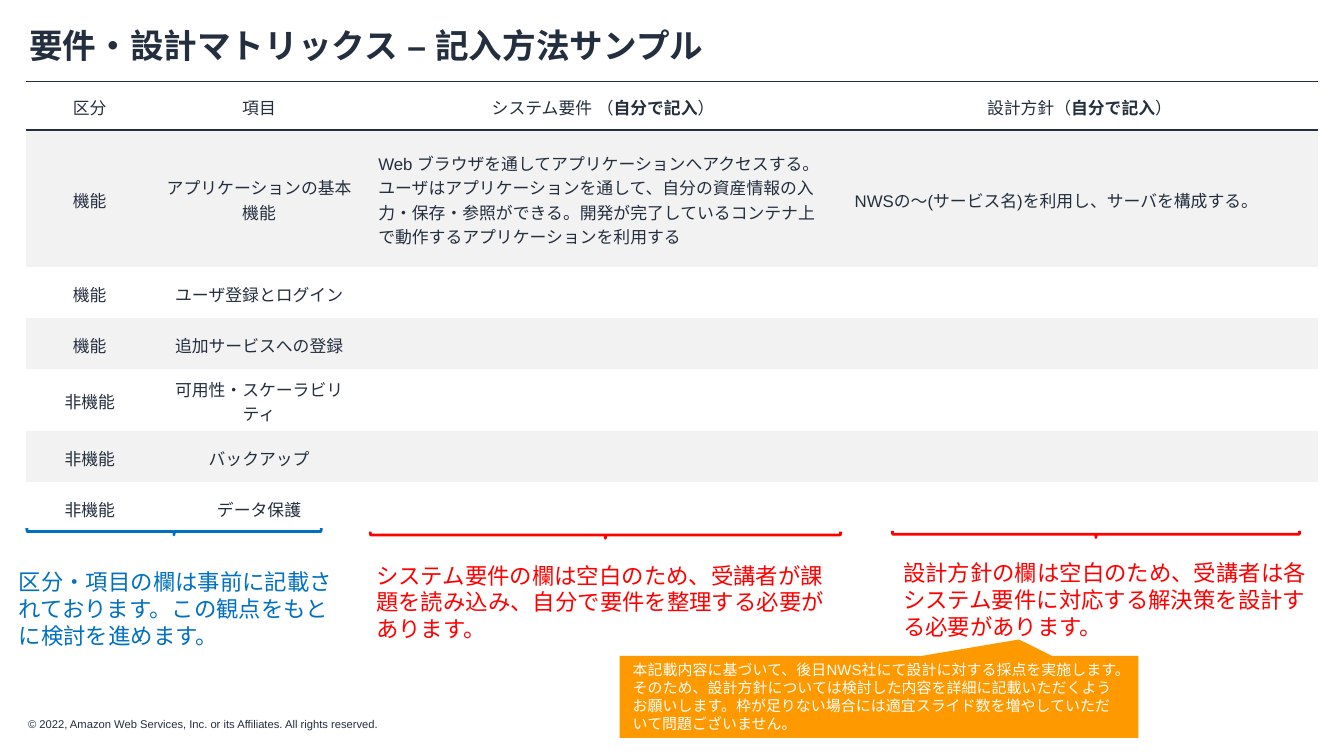
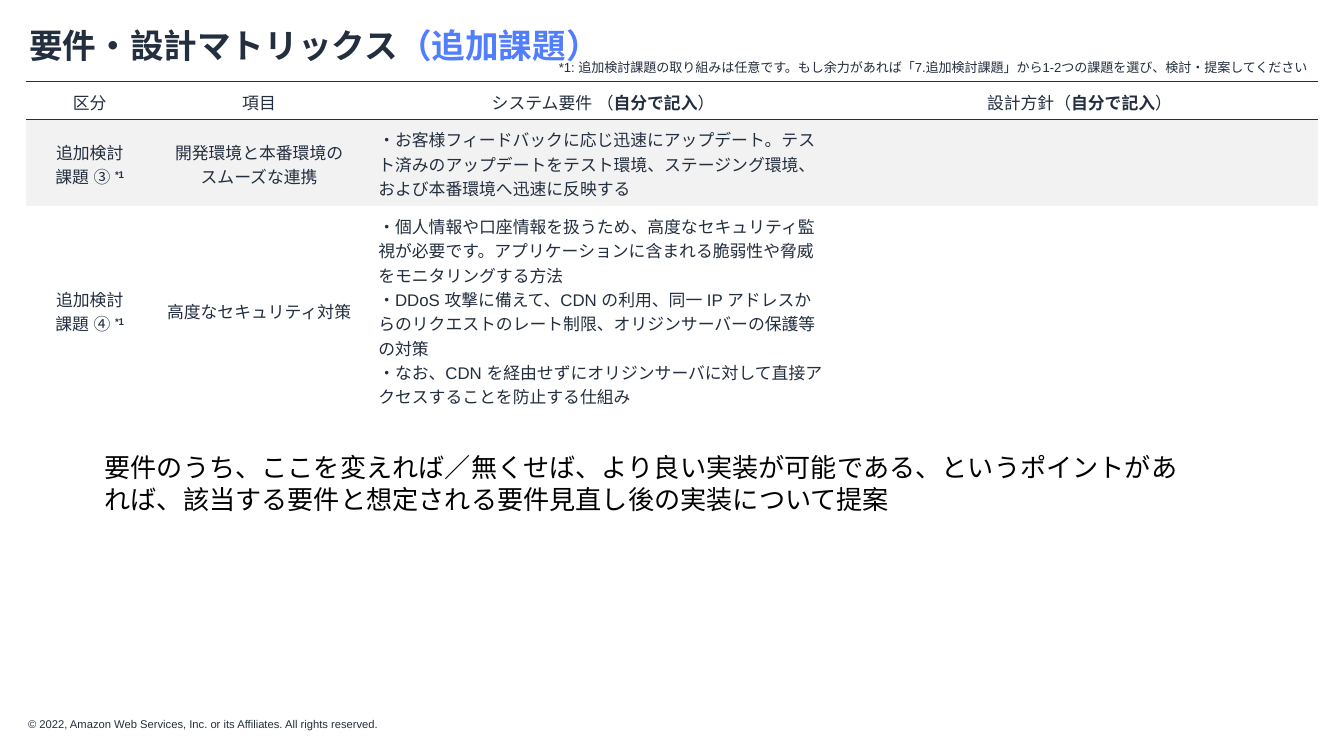
import dataclasses

import lxml.etree
import pptx
import pptx.dml.color
import pptx.enum.shapes
import pptx.enum.text
import pptx.oxml.ns
import pptx.util

INK, GREY, WHITE, BLACK = "232E3E", "F2F2F2", "FFFFFF", "000000"
BLUE, RED, ORANGE, ACCENT = "0070C0", "FF0000", "FE9900", "517EFF"
FONT = "Arial"
UNIT = 0.1
NO_GRID_STYLE = "{2D5ABB26-0587-4C30-8999-92F81FD0307C}"
TABLE_LEFT, TABLE_TOP = 1.95, 6.07
TABLE_COLUMNS = [9.45, 15.75, 35.45, 35.45]
SELF = ("自分で記入", {"bold": True})
HEADER = ["区分", "項目", [["システム要件 （", SELF, "）"]], [["設計方針（", SELF, "）"]]]
FOOTNOTE_MARK = ("*1", {"bold": True, "raised": True})


@dataclasses.dataclass
class Box:
    """A rectangle counted in columns and rows of the slide grid."""

    left: float
    top: float
    width: float
    height: float

    def place(self):
        """Return the four lengths in slide units."""
        return [grid(n) for n in (self.left, self.top, self.width, self.height)]

    def within(self, left, top, width, height):
        """Return a box whose corner is counted from this one."""
        return Box(self.left + left, self.top + top, width, height)

    def turned(self):
        """Return the box that covers this one after a quarter turn."""
        shift = (self.width - self.height) / 2
        return Box(self.left + shift, self.top - shift, self.height, self.width)


PAGE = Box(0, 0, 100, 100 * 9 / 16)


def grid(count):
    """Convert grid steps to a length."""
    return pptx.util.Inches(count * UNIT)


def color(value):
    """Turn a hex string into a colour."""
    return pptx.dml.color.RGBColor.from_string(value)


def add_element(parent, tag, **values):
    """Append a drawing element and return it."""
    return lxml.etree.SubElement(parent, pptx.oxml.ns.qn(f"a:{tag}"), **values)


def write(frame, content, size, ink, bold=False, centered=False, leading=1.2):
    """Fill a text frame from a string or a list of paragraphs made of spans."""
    paragraphs = [[content]] if isinstance(content, str) else content
    frame.word_wrap = True
    for index, spans in enumerate(paragraphs):
        para = frame.add_paragraph() if index else frame.paragraphs[0]
        para.alignment = pptx.enum.text.PP_ALIGN.CENTER if centered else pptx.enum.text.PP_ALIGN.LEFT
        para.line_spacing = pptx.util.Pt(size * leading)
        para.font.name = FONT
        para.font.size = pptx.util.Pt(size)
        para.font.bold = bold
        para.font.color.rgb = color(ink)
        add_element(para.font._element, "ea", typeface=FONT)
        for words in spans:
            text, style = (words, {}) if isinstance(words, str) else words
            span = para.add_run()
            span.text = text
            add_element(span.font._element, "ea", typeface=FONT)
            if "bold" in style:
                span.font.bold = style["bold"]
            if "ink" in style:
                span.font.color.rgb = color(style["ink"])
            if style.get("raised"):
                span.font._element.set("baseline", "30000")


def label(page, box, content, size, ink, margins=(1, 0.5, 1, 0.5), bold=False):
    """Add a text box with left, top, right and bottom margins."""
    frame = page.shapes.add_textbox(*box.place()).text_frame
    frame.margin_left, frame.margin_top, frame.margin_right, frame.margin_bottom = map(grid, margins)
    write(frame, content, size, ink, bold)


def start_page(deck, title):
    """Add a blank slide with the shared title and footer."""
    page = deck.slides.add_slide(deck.slide_layouts[6])
    label(page, PAGE.within(2.1, 53.4, 45.3, 1),
          "© 2022, Amazon Web Services, Inc. or its Affiliates. All rights reserved.",
          6, INK, (0, 0, 0, 0))
    label(page, PAGE.within(1.2, 1.4, 93.2, 6), title, 18, INK, bold=True)
    return page


def rule(cell, side):
    """Draw a thin line on one side of a table cell."""
    line = add_element(cell._tc.get_or_add_tcPr(), f"ln{side}", w=str(pptx.util.Pt(0.75)))
    add_element(add_element(line, "solidFill"), "srgbClr", val=INK)


def matrix(page, heights, body):
    """Add the requirement table: ruled header, then grey and clear rows in turn."""
    rows = [HEADER] + body
    box = PAGE.within(TABLE_LEFT, TABLE_TOP, sum(TABLE_COLUMNS), sum(heights))
    table = page.shapes.add_table(len(rows), len(TABLE_COLUMNS), *box.place()).table
    table.first_row = table.horz_banding = False
    table._tbl.tblPr.find(pptx.oxml.ns.qn("a:tableStyleId")).text = NO_GRID_STYLE
    for column, width in zip(table.columns, TABLE_COLUMNS):
        column.width = grid(width)
    for number, (row, height, contents) in enumerate(zip(table.rows, heights, rows)):
        row.height = grid(height)
        for place, (cell, content) in enumerate(zip(row.cells, contents)):
            cell.vertical_anchor = pptx.enum.text.MSO_ANCHOR.MIDDLE
            if number == 0:
                rule(cell, "T")
                rule(cell, "B")
            if number % 2:
                cell.fill.solid()
                cell.fill.fore_color.rgb = color(GREY)
            else:
                cell.fill.background()
            if content:
                write(cell.text_frame, content, 9, INK, centered=number == 0 or place < 2, leading=1.45)
            else:
                add_element(cell.text_frame.paragraphs[0]._p, "endParaRPr", sz="900")


def brace_note(page, brace_box, text_box, words, ink):
    """Add a brace below table columns and the remark that belongs to it."""
    brace = page.shapes.add_shape(pptx.enum.shapes.MSO_SHAPE.LEFT_BRACE, *brace_box.turned().place())
    brace.rotation = 270
    brace.shadow.inherit = False
    brace.fill.background()
    brace.line.color.rgb = color(ink)
    brace.line.width = pptx.util.Pt(1.5)
    label(page, text_box, words, 12, ink, (0, 0.5, 1, 0.5))


def callout(page, box, words):
    """Add the orange callout pointing up at the remark above."""
    bubble = page.shapes.add_shape(pptx.enum.shapes.MSO_SHAPE.RECTANGULAR_CALLOUT, *box.place())
    bubble.adjustments[0], bubble.adjustments[1] = 0.27, -0.7
    bubble.shadow.inherit = False
    bubble.fill.solid()
    bubble.fill.fore_color.rgb = color(ORANGE)
    bubble.line.fill.background()
    bubble.text_frame.vertical_anchor = pptx.enum.text.MSO_ANCHOR.MIDDLE
    write(bubble.text_frame, words, 8, WHITE)


def sample_page(deck):
    """Build the slide that shows how to fill in the matrix."""
    page = start_page(deck, "要件・設計マトリックス – 記入方法サンプル")
    body = [
        ["機能", "アプリケーションの基本機能",
         "Web ブラウザを通してアプリケーションへアクセスする。ユーザはアプリケーションを通して、自分の資産情報の入力・保存・参照ができる。"
         "開発が完了しているコンテナ上で動作するアプリケーションを利用する",
         "NWSの〜(サービス名)を利用し、サーバを構成する。"],
        ["機能", "ユーザ登録とログイン", "", ""],
        ["機能", "追加サービスへの登録", "", ""],
        ["非機能", "可用性・スケーラビリティ", "", ""],
        ["非機能", "バックアップ", "", ""],
        ["非機能", "データ保護", "", ""],
    ]
    matrix(page, [3.6, 10.2, 3.8, 3.8, 4.6, 3.8, 3.8], body)
    notes = [
        ((2, 39.3, 21.9, 0.5), (1.4, 41.8, 25.6, 7.1), BLUE,
         "区分・項目の欄は事前に記載されております。この観点をもとに検討を進めます。"),
        ((27.55, 39.55, 35, 0.5), (28, 41.3, 34.6, 7.1), RED,
         "システム要件の欄は空白のため、受講者が課題を読み込み、自分で要件を整理する必要があります。"),
        ((66.4, 39.5, 30.3, 0.5), (67.2, 41.1, 31.4, 8.6), RED,
         "設計方針の欄は空白のため、受講者は各システム要件に対応する解決策を設計する必要があります。"),
    ]
    for brace, text, ink, words in notes:
        brace_note(page, PAGE.within(*brace), PAGE.within(*text), words, ink)
    callout(page, PAGE.within(46.1, 48.8, 38.6, 6.1),
            "本記載内容に基づいて、後日NWS社にて設計に対する採点を実施します。そのため、設計方針については検討した内容を詳細に"
            "記載いただくようお願いします。枠が足りない場合には適宜スライド数を増やしていただいて問題ございません。")


def extra_page(deck):
    """Build the slide with the additional tasks."""
    page = start_page(deck, [["要件・設計マトリックス", ("（追加課題）", {"ink": ACCENT})]])
    body = [
        [[["追加検討"], ["課題 ③ ", FOOTNOTE_MARK]],
         [["開発環境と本番環境の"], ["スムーズな連携"]],
         "・お客様フィードバックに応じ迅速にアップデート。テスト済みのアップデートをテスト環境、ステージング環境、"
         "および本番環境へ迅速に反映する",
         ""],
        [[["追加検討"], ["課題 ④ ", FOOTNOTE_MARK]],
         "高度なセキュリティ対策",
         [["・個人情報や口座情報を扱うため、高度なセキュリティ監視が必要です。アプリケーションに含まれる脆弱性や脅威をモニタリングする方法"],
          ["・DDoS 攻撃に備えて、CDN の利用、同一 IP アドレスからのリクエストのレート制限、オリジンサーバーの保護等の対策"],
          ["・なお、CDN を経由せずにオリジンサーバに対して直接アクセスすることを防止する仕組み"]],
         ""],
    ]
    matrix(page, [2.8, 6.4, 15.5], body)
    label(page, PAGE.within(40.6, 3.9, 59.1, 2.2),
          "*1: 追加検討課題の取り組みは任意です。もし余力があれば「7.追加検討課題」から1-2つの課題を選び、検討・提案してください",
          7, INK)
    label(page, PAGE.within(6.8, 32.6, 82, 6.7),
          "要件のうち、ここを変えれば／無くせば、より良い実装が可能である、というポイントがあれば、"
          "該当する要件と想定される要件見直し後の実装について提案",
          14, BLACK, (1, 1, 1, 1))


def main():
    """Build and save the deck."""
    deck = pptx.Presentation()
    deck.slide_width, deck.slide_height = grid(PAGE.width), grid(PAGE.height)
    sample_page(deck)
    extra_page(deck)
    deck.save("out.pptx")


if __name__ == "__main__":
    main()
